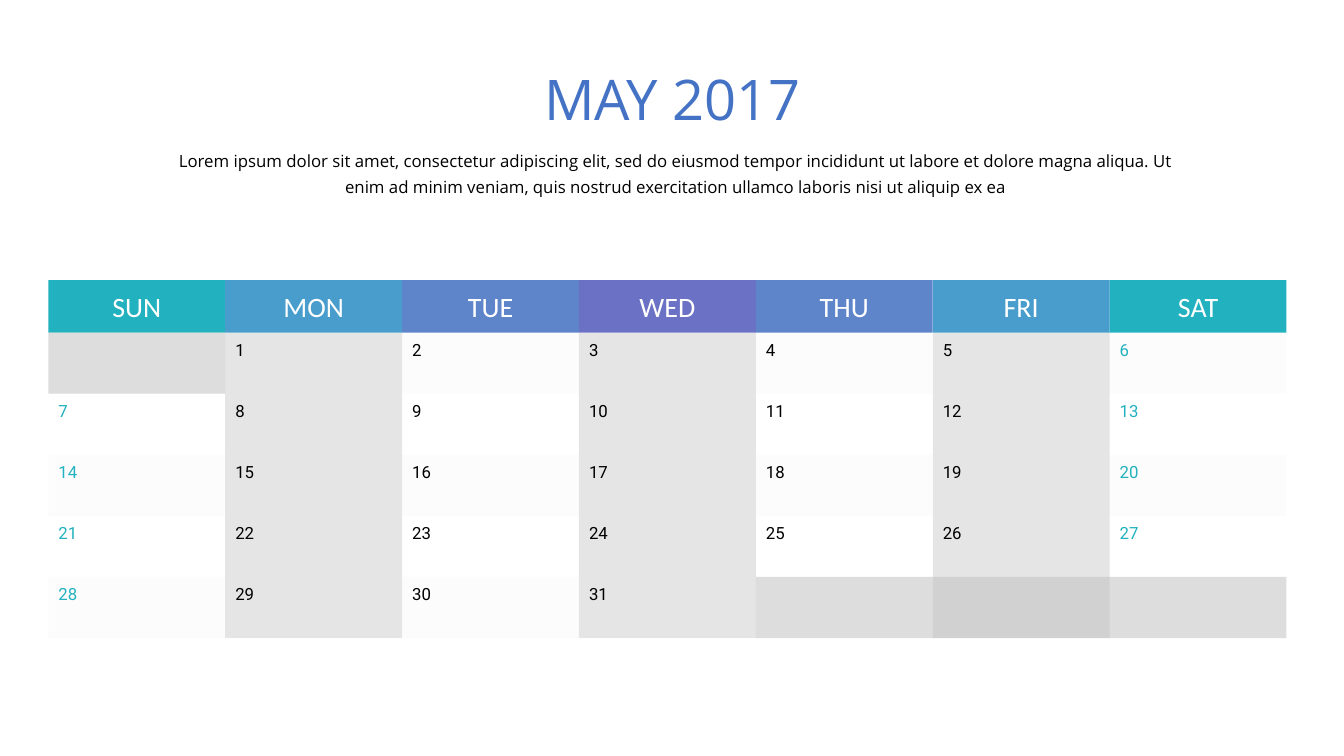
from collections import namedtuple

from pptx import Presentation
from pptx import util as u
from pptx.dml.color import RGBColor
from pptx.enum import shapes, text
from pptx.oxml.xmlchemy import OxmlElement

# Content
TITLE = "MAY 2017"
INTRO = ("Lorem ipsum dolor sit amet, consectetur adipiscing elit, sed do eiusmod "
         "tempor incididunt ut labore et dolore magna aliqua. Ut enim ad minim "
         "veniam, quis nostrud exercitation ullamco laboris nisi ut aliquip ex ea")
WEEKDAYS = ["SUN", "MON", "TUE", "WED", "THU", "FRI", "SAT"]
FIRST_COLUMN, DAY_COUNT = 1, 31

# Theme
Theme = namedtuple("Theme", "title ink weekend white headers column_shade row_tint "
                   "blank heading_font weekday_font day_font title_size "
                   "weekday_size small_size")
theme = Theme(
    title="4472C4", ink="000000", weekend="22B1BF", white="FFFFFF",
    headers=["22B1BF", "499DCC", "5E85CA", "6B71C5"],
    column_shade=("000000", 10), row_tint=("E7E6E6", 10), blank=("BFBFBF", 50),
    heading_font="Open Sans", weekday_font="Calibri", day_font="Roboto",
    title_size=40, weekday_size=20, small_size=12)

# Calendar grid
COLUMNS, WEEKS = len(WEEKDAYS), 5
GRID_LEFT, HEADER_TOP, HEADER_HEIGHT = 0.48, 2.78, 0.52
GRID_WIDTH, GRID_HEIGHT = 12.28, 3.03
GRID_TOP = HEADER_TOP + HEADER_HEIGHT
COLUMN_WIDTH, ROW_HEIGHT = GRID_WIDTH / COLUMNS, GRID_HEIGHT / WEEKS
DAY_INDENT, DAY_WIDTH, DAY_HEIGHT = 0.04, 0.64, 0.34


def column_left(column):
    return GRID_LEFT + column * COLUMN_WIDTH


def row_top(row):
    return GRID_TOP + row * ROW_HEIGHT


def add_block(slide, left, top, width, height, color, opacity=100):
    block = slide.shapes.add_shape(
        shapes.MSO_SHAPE.RECTANGLE, *map(u.Inches, (left, top, width, height)))
    block.shadow.inherit = False
    block.line.fill.background()
    block.fill.solid()
    block.fill.fore_color.rgb = RGBColor.from_string(color)
    if opacity < 100:
        alpha = OxmlElement("a:alpha")
        alpha.set("val", str(opacity * 1000))
        block.fill._xPr.solidFill[0].append(alpha)
    return block


def write(shape, words, font, size, color, align, anchor, inset=0.06, wrap=True):
    frame = shape.text_frame
    frame.auto_size = text.MSO_AUTO_SIZE.NONE
    frame.word_wrap = wrap
    frame.vertical_anchor = anchor
    frame.margin_left = frame.margin_right = u.Inches(inset)
    frame.margin_top = frame.margin_bottom = u.Inches(inset)
    paragraph = frame.paragraphs[0]
    paragraph.alignment = align
    paragraph.space_before = u.Pt(0)
    run = paragraph.add_run()
    run.text = words
    run.font.name = font
    run.font.size = u.Pt(size)
    run.font.color.rgb = RGBColor.from_string(color)
    return paragraph


def place(shape, left, top, width, height):
    shape.left, shape.top = u.Inches(left), u.Inches(top)
    shape.width, shape.height = u.Inches(width), u.Inches(height)


def add_headings(slide):
    title, intro = slide.placeholders
    place(title, 5.36, 0.64, 2.62, 0.67)
    write(title, TITLE, theme.heading_font, theme.title_size, theme.title,
          text.PP_ALIGN.CENTER, text.MSO_ANCHOR.TOP, inset=0, wrap=False)
    place(intro, 1.71, 1.45, 9.99, 0.5)
    paragraph = write(intro, INTRO, theme.heading_font, theme.small_size, theme.ink,
                      text.PP_ALIGN.CENTER, text.MSO_ANCHOR.TOP, inset=0)
    paragraph.line_spacing = 1.25


def add_calendar(slide):
    # Shaded columns: Monday, Wednesday, Friday
    for column in range(1, COLUMNS, 2):
        add_block(slide, column_left(column), GRID_TOP, COLUMN_WIDTH, GRID_HEIGHT,
                  *theme.column_shade)

    # Weekday header, coloured symmetrically around Wednesday
    for column, weekday in enumerate(WEEKDAYS):
        color = theme.headers[min(column, COLUMNS - 1 - column)]
        header = add_block(slide, column_left(column), HEADER_TOP, COLUMN_WIDTH,
                           HEADER_HEIGHT, color)
        write(header, weekday, theme.weekday_font, theme.weekday_size, theme.white,
              text.PP_ALIGN.CENTER, text.MSO_ANCHOR.MIDDLE)

    # Tinted alternate weeks
    for row in range(0, WEEKS, 2):
        add_block(slide, GRID_LEFT, row_top(row), GRID_WIDTH, ROW_HEIGHT,
                  *theme.row_tint)

    # Blank cells before and after the month
    used_columns = FIRST_COLUMN + DAY_COUNT - (WEEKS - 1) * COLUMNS
    for row, start, end in [(0, 0, FIRST_COLUMN), (WEEKS - 1, used_columns, COLUMNS)]:
        add_block(slide, column_left(start), row_top(row),
                  (end - start) * COLUMN_WIDTH, ROW_HEIGHT, *theme.blank)

    # Day numbers
    for day in range(1, DAY_COUNT + 1):
        row, column = divmod(FIRST_COLUMN + day - 1, COLUMNS)
        color = theme.weekend if column in (0, COLUMNS - 1) else theme.ink
        box = slide.shapes.add_textbox(*map(u.Inches, (
            column_left(column) + DAY_INDENT, row_top(row), DAY_WIDTH, DAY_HEIGHT)))
        write(box, str(day), theme.day_font, theme.small_size, color,
              text.PP_ALIGN.LEFT, text.MSO_ANCHOR.MIDDLE)


def main():
    presentation = Presentation()
    presentation.slide_width = u.Inches(13.33)
    presentation.slide_height = u.Inches(7.5)
    slide = presentation.slides.add_slide(presentation.slide_layouts[0])
    add_headings(slide)
    add_calendar(slide)
    presentation.save("out.pptx")


if __name__ == "__main__":
    main()
